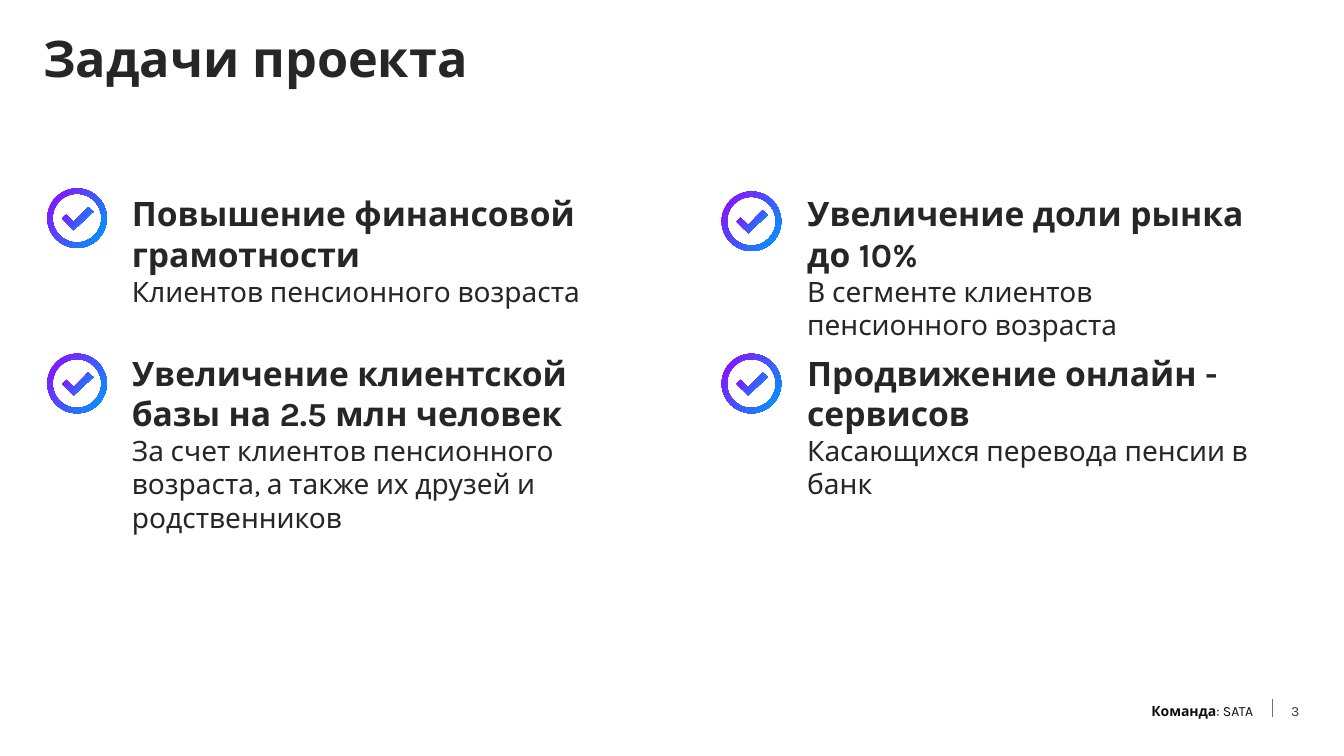
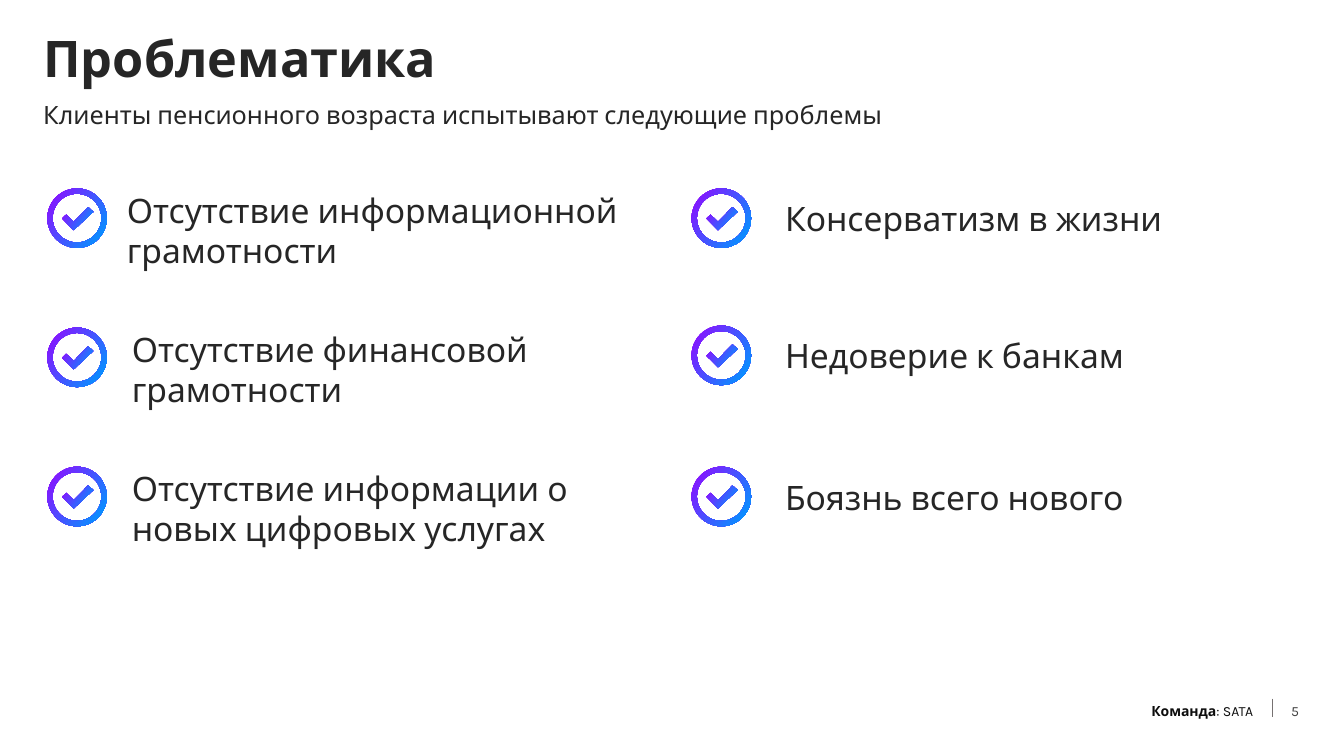
from lxml import etree
from pptx import Presentation
from pptx.dml.color import RGBColor
from pptx.enum.shapes import MSO_CONNECTOR, MSO_SHAPE
from pptx.enum.text import MSO_ANCHOR, MSO_AUTO_SIZE, PP_ALIGN
from pptx.oxml.ns import qn
from pptx.util import Pt

STRAIGHT = MSO_CONNECTOR.STRAIGHT
DONUT = MSO_SHAPE.DONUT
MIDDLE, TOP = MSO_ANCHOR.MIDDLE, MSO_ANCHOR.TOP
NO_AUTOSIZE = MSO_AUTO_SIZE.NONE
LEFT, RIGHT = PP_ALIGN.LEFT, PP_ALIGN.RIGHT

INK = RGBColor(0x26, 0x26, 0x26)
TEAM_INK = RGBColor(0x0D, 0x0D, 0x0D)
NUMBER_INK = RGBColor(0x40, 0x40, 0x40)
RULE_GREY = RGBColor(0x76, 0x71, 0x71)
VIOLET = RGBColor(0x97, 0x05, 0xFF)
AZURE = RGBColor(0x00, 0x98, 0xFF)

FONT = "Karla"
TITLE = {"size": Pt(36), "bold": True, "color": INK}
SUBTITLE = {"size": Pt(18), "bold": False, "color": INK}
HEADING = {"size": Pt(24), "bold": True, "color": INK}
DETAIL = {"size": Pt(20), "bold": False, "color": INK}
PROBLEM = {"size": Pt(24), "bold": False, "color": INK}
TEAM_LABEL = {"size": Pt(10), "bold": True, "color": TEAM_INK}
TEAM_NAME = {"size": Pt(10), "bold": False, "color": TEAM_INK}
NUMBER = {"size": Pt(10), "bold": False, "color": NUMBER_INK}

TITLE_BOX = (23.8, 20.2, 884.2, 47.5)
SUBTITLE_BOX = (23.8, 67.7, 676, 28.8)
FOOTER_BOX = (810, 498, 142, 19.4)

ICON_SIZE = 42.5
ICON_LEFT = 33.8
TICK = [(29.2, 13.4), (18.9, 23.9), (13.5, 18.7),
        (10.6, 21.5), (18.9, 29.7), (32.8, 16.7)]

TASKS = [
    ((ICON_LEFT, 134.6), (87.1, 134.6, 378.7, 90),
     "Повышение финансовой грамотности", "Клиентов пенсионного возраста"),
    ((ICON_LEFT, 252.7), (87.1, 248.4, 340, 138),
     "Увеличение клиентской базы на 2.5 млн человек",
     "За счет клиентов пенсионного возраста, а также их друзей и родственников"),
    ((515.5, 136.8), (569.5, 134.6, 340, 114),
     "Увеличение доли рынка до 10%", "В сегменте клиентов пенсионного возраста"),
    ((515.5, 252.7), (569.5, 248.4, 340, 114),
     "Продвижение онлайн - сервисов", "Касающихся перевода пенсии в банк"),
]

PROBLEMS = [
    ((ICON_LEFT, 134.6), (83.5, 131.8), "Отсутствие информационной грамотности"),
    ((ICON_LEFT, 234), (87.1, 231.1), "Отсутствие финансовой грамотности"),
    ((ICON_LEFT, 333.4), (87.1, 330.5), "Отсутствие информации о новых цифровых услугах"),
    ((494, 134.6), (553.7, 137.5), "Консерватизм в жизни"),
    ((494, 232.6), (553.7, 235.4), "Недоверие к банкам"),
    ((494, 333.4), (553.7, 337), "Боязнь всего нового"),
]


def write_lines(frame, lines, align=LEFT, anchor=TOP, wrap=True):
    """Fill a text frame with one paragraph of lines, each a list of (text, format)."""
    frame.word_wrap = wrap
    frame.auto_size = NO_AUTOSIZE
    frame.vertical_anchor = anchor
    paragraph = frame.paragraphs[0]
    paragraph.alignment = align
    for index, line in enumerate(lines):
        if index:
            paragraph.add_line_break()
        for text, style in line:
            run = paragraph.add_run()
            run.text = text
            run.font.name = FONT
            for attribute, value in style.items():
                if attribute == "color":
                    run.font.color.rgb = value
                else:
                    setattr(run.font, attribute, value)


def add_text(shapes, box, lines, **layout):
    """Add a text box at a box given in points."""
    label = shapes.add_textbox(*map(Pt, box))
    write_lines(label.text_frame, lines, **layout)


def add_check_icon(slide, left, top):
    """Draw the gradient ring with its tick, from its top left corner."""
    icon = slide.shapes.add_group_shape().shapes
    outline = [(Pt(left + x), Pt(top + y)) for x, y in TICK]
    builder = icon.build_freeform(*outline[0])
    builder.add_line_segments(outline[1:], close=True)
    tick = builder.convert_to_shape()
    ring = icon.add_shape(DONUT, Pt(left), Pt(top), Pt(ICON_SIZE), Pt(ICON_SIZE))
    ring.adjustments[0] = 0.09
    for part in (tick, ring):
        part.shadow.inherit = False
        part.line.fill.background()
        part.fill.gradient()
        part.fill.gradient_angle = 325
        stops = zip(part.fill.gradient_stops, ((0, VIOLET), (0.93, AZURE)))
        for stop, (position, color) in stops:
            stop.position = position
            stop.color.rgb = color


def add_footer(slide, box, number):
    """Place the team name, divider and slide number in the footer box."""
    left, top, width, height = box
    team = slide.shapes.add_group_shape().shapes
    add_text(team, (left, top, 92.2, height),
             [[("Команда", TEAM_LABEL), (": SATA", TEAM_NAME)]], align=RIGHT, wrap=False)
    divider_x = Pt(left + 98.6)
    divider = team.add_connector(STRAIGHT, divider_x, Pt(top + 1), divider_x, Pt(top + 14))
    divider.line.color.rgb = RULE_GREY
    divider.line.width = Pt(0.5)
    etree.SubElement(divider._element.spPr, qn("a:effectLst"))
    add_text(slide.shapes, (left + 105.2, top, width - 105.2, height), [[(number, NUMBER)]])


def add_titled_slide(deck, heading, number):
    """Add a slide with the shared title and footer."""
    slide = deck.slides.add_slide(deck.slide_layouts[5])
    title = slide.shapes.title
    title.left, title.top, title.width, title.height = map(Pt, TITLE_BOX)
    write_lines(title.text_frame, [[(heading, TITLE)]], anchor=MIDDLE)
    title.text_frame.paragraphs[0].line_spacing = 0.9
    add_footer(slide, FOOTER_BOX, number)
    return slide


def add_tasks_slide(deck):
    """Build the slide of project tasks."""
    slide = add_titled_slide(deck, "Задачи проекта", "3")
    for corner, box, heading, detail in TASKS:
        add_check_icon(slide, *corner)
        add_text(slide.shapes, box, [[(heading, HEADING)], [(detail, DETAIL)]])


def add_problems_slide(deck):
    """Build the slide of client problems."""
    slide = add_titled_slide(deck, "Проблематика", "5")
    subtitle = "Клиенты пенсионного возраста испытывают следующие проблемы"
    add_text(slide.shapes, SUBTITLE_BOX, [[(subtitle, SUBTITLE)]])
    for corner, (left, top), problem in PROBLEMS:
        add_check_icon(slide, *corner)
        add_text(slide.shapes, (left, top, 379.4, 65.5), [[(problem, PROBLEM)]])


def main():
    """Build and save the presentation."""
    deck = Presentation()
    deck.slide_width, deck.slide_height = Pt(960), Pt(540)
    add_tasks_slide(deck)
    add_problems_slide(deck)
    deck.save("out.pptx")


if __name__ == "__main__":
    main()
